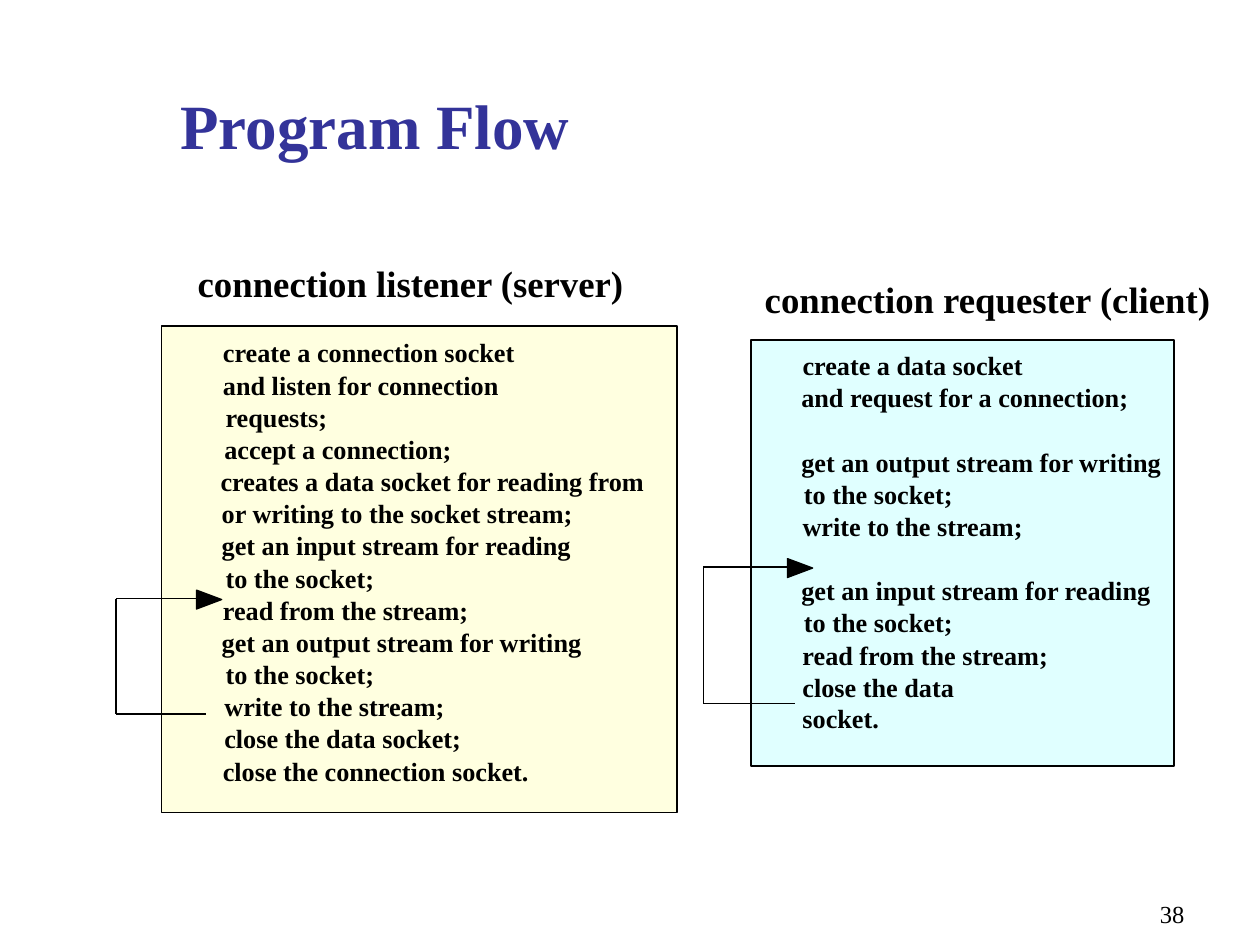
from typing import NamedTuple

from lxml import etree
from pptx import Presentation
from pptx.dml.color import RGBColor
from pptx.enum import shapes, text
from pptx.oxml import ns
from pptx.util import Pt

FONT = "Times New Roman"
BLACK = "000000"
PITCH = 18.38


class Box(NamedTuple):
    left: float
    top: float
    width: float
    height: float


class Step(NamedTuple):
    row: int
    left: float
    width: float
    words: str


class Loop(NamedTuple):
    left: float
    top: float
    bottom: float
    end: float
    tip: float


class Panel(NamedTuple):
    title: str
    head: Box
    frame: Box
    fill: str
    first: float
    steps: list[Step]
    loop: Loop


SERVER = Panel(
    "connection listener (server)",
    Box(113, 149, 244, 25.2), Box(92.2, 186.5, 294.5, 277.9), "FFFFE0", 192.4,
    [
        Step(0, 127.4, 167, "create a connection socket"),
        Step(1, 127.4, 157.7, "and listen for connection"),
        Step(2, 128.9, 58.3, "requests;"),
        Step(3, 128.2, 130.3, "accept a connection;"),
        Step(4, 126, 243.4, "creates a data socket for reading from"),
        Step(5, 126.7, 200.9, "or writing to the socket stream;"),
        Step(6, 126.7, 200.2, "get an input stream for reading"),
        Step(7, 128.9, 85, "to the socket;"),
        Step(8, 127.4, 141.1, "read from the stream;"),
        Step(9, 126.7, 205.9, "get an output stream for writing"),
        Step(10, 128.9, 85, "to the socket;"),
        Step(11, 128.2, 126, "write to the stream;"),
        Step(12, 128.2, 135.4, "close the data socket;"),
        Step(13, 127.4, 175, "close the connection socket."),
    ],
    Loop(66.2, 342, 408.2, 118, 126.7),
)
CLIENT = Panel(
    "connection requester (client)",
    Box(437, 158.4, 255.6, 25.2), Box(429.1, 194.4, 241.9, 243.4), "E0FFFF", 199.6,
    [
        Step(0, 458.6, 126, "create a data socket"),
        Step(1, 457.9, 187.2, "and request for a connection;"),
        Step(3, 457.9, 205.9, "get an output stream for writing"),
        Step(4, 459.4, 85, "to the socket;"),
        Step(5, 458.6, 126, "write to the stream;"),
        Step(7, 457.9, 200.2, "get an input stream for reading"),
        Step(8, 459.4, 85, "to the socket;"),
        Step(9, 458.6, 141.1, "read from the stream;"),
        Step(10, 458.6, 133.9, "close the data socket."),
    ],
    Loop(402, 324, 402, 454.3, 464.4),
)


def color(code: str) -> RGBColor:
    return RGBColor.from_string(code)


def write(slide, words: str, box: Box, size: float, code: str = BLACK,
          bold: bool = True):
    """Add one line of text in a box without margins."""
    shape = slide.shapes.add_textbox(*map(Pt, box))
    frame = shape.text_frame
    frame.margin_left = frame.margin_right = 0
    frame.margin_top = frame.margin_bottom = 0
    frame.word_wrap = False
    frame.auto_size = text.MSO_AUTO_SIZE.SHAPE_TO_FIT_TEXT
    frame.text = words
    font = frame.paragraphs[0].runs[0].font
    font.name, font.size, font.bold = FONT, Pt(size), bold
    font.color.rgb = color(code)
    return frame


def label(slide, words: str, box: Box, size: float, code: str, bold: bool,
          align: text.PP_ALIGN) -> None:
    """Add text at the foot of a fixed box with normal margins."""
    frame = write(slide, words, box, size, code, bold)
    frame.auto_size = text.MSO_AUTO_SIZE.NONE
    frame.word_wrap = True
    frame.margin_left = frame.margin_right = Pt(7.2)
    frame.margin_top = frame.margin_bottom = Pt(3.6)
    frame.vertical_anchor = text.MSO_ANCHOR.BOTTOM
    frame.paragraphs[0].alignment = align


def rule(slide, x1: float, y1: float, x2: float, y2: float) -> None:
    line = slide.shapes.add_connector(
        shapes.MSO_CONNECTOR.STRAIGHT, Pt(x1), Pt(y1), Pt(x2), Pt(y2))
    line.line.color.rgb = color(BLACK)
    line.line.width = Pt(1)
    etree.SubElement(line._element.spPr, ns.qn("a:effectLst"))


def draw_loop(slide, loop: Loop) -> None:
    """Draw the bracket that leads back from a later step to an earlier one."""
    rule(slide, loop.left, loop.bottom, loop.end, loop.bottom)
    rule(slide, loop.left, loop.top, loop.left, loop.bottom)
    rule(slide, loop.left, loop.top, loop.end - 1.4, loop.top)
    mid, back = loop.top + 0.6, loop.tip - 14.4
    path = slide.shapes.build_freeform(Pt(loop.tip), Pt(mid))
    path.add_line_segments(
        [(Pt(back), Pt(mid + 5.4)), (Pt(back), Pt(mid - 5.4))], close=True)
    head = path.convert_to_shape()
    head.shadow.inherit = False
    head.fill.solid()
    head.fill.fore_color.rgb = color(BLACK)
    head.line.color.rgb = color(BLACK)
    head.line.width = Pt(0)


def draw_panel(slide, panel: Panel) -> None:
    frame = slide.shapes.add_shape(
        shapes.MSO_SHAPE.RECTANGLE, *map(Pt, panel.frame))
    frame.shadow.inherit = False
    frame.fill.solid()
    frame.fill.fore_color.rgb = color(panel.fill)
    frame.line.color.rgb = color(BLACK)
    frame.line.width = Pt(1)
    write(slide, panel.title, panel.head, 21)
    for step in panel.steps:
        top = panel.first + step.row * PITCH
        write(slide, step.words, Box(step.left, top, step.width, 18), 15)
    draw_loop(slide, panel.loop)


def main() -> None:
    deck = Presentation()
    deck.slide_width, deck.slide_height = Pt(720), Pt(540)
    slide = deck.slides.add_slide(deck.slide_layouts[6])
    label(slide, "38", Box(534, 498, 150, 36), 14, BLACK, False,
          text.PP_ALIGN.RIGHT)
    label(slide, "Program Flow", Box(96, 24, 607.5, 72), 36, "333399", True,
          text.PP_ALIGN.LEFT)
    for panel in (SERVER, CLIENT):
        draw_panel(slide, panel)
    deck.save("out.pptx")


if __name__ == "__main__":
    main()
